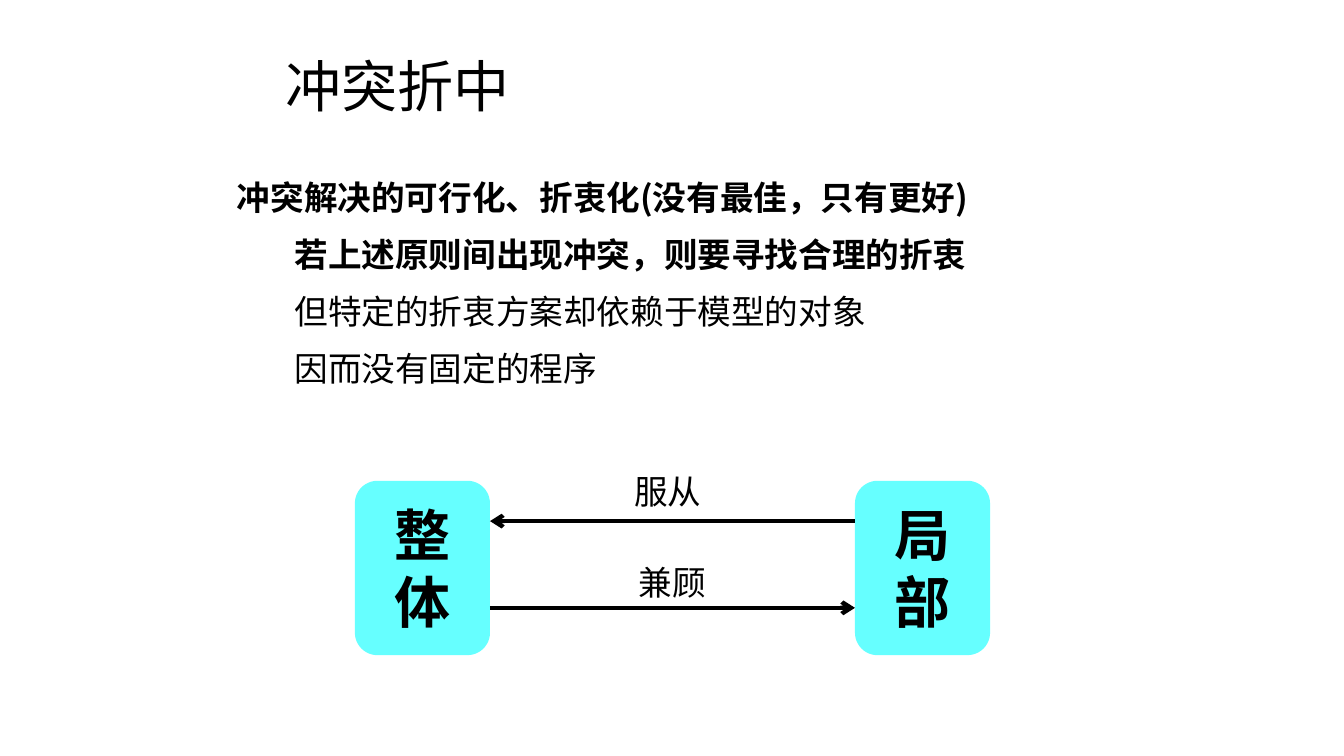
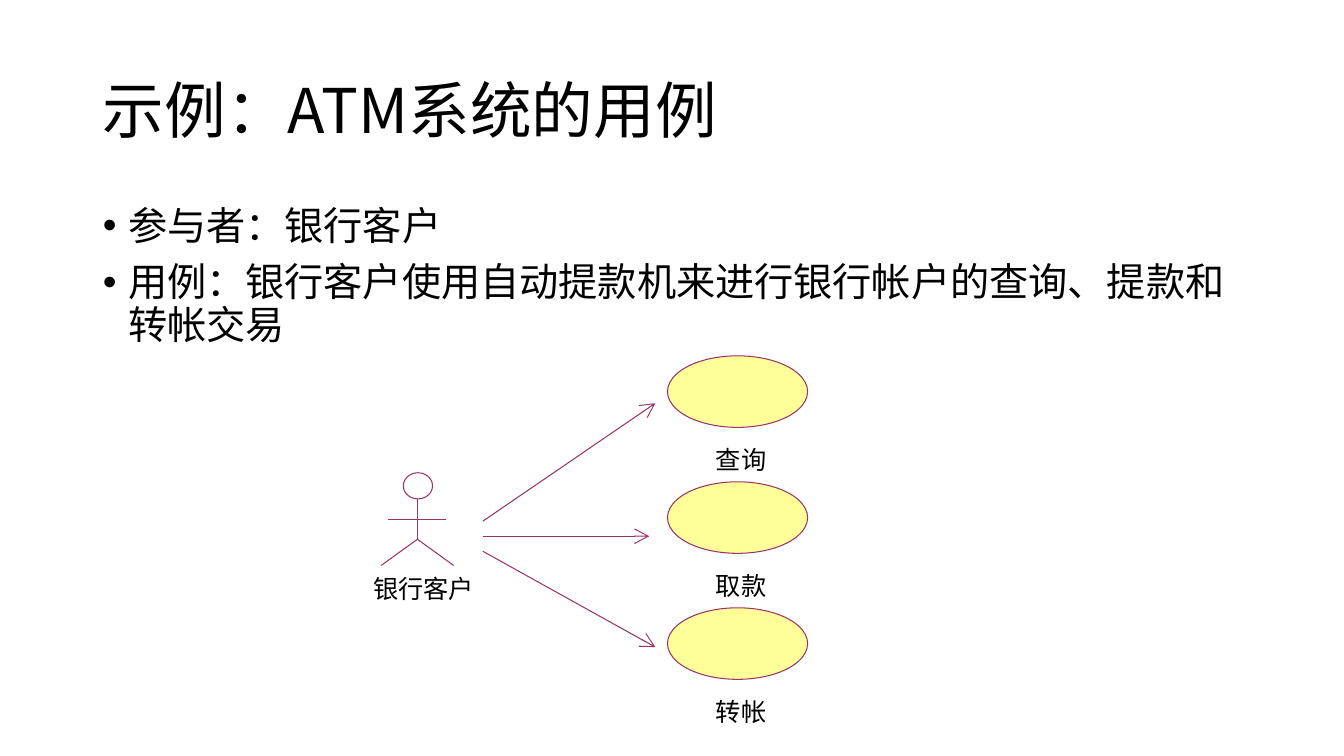
from dataclasses import dataclass

from lxml import etree
from pptx import Presentation
from pptx.dml import color
from pptx.enum import shapes, text
from pptx.oxml import ns
from pptx.util import Inches, Pt


@dataclass(frozen=True)
class Theme:
    cjk: str = "Noto Sans CJK SC"
    latin: str = "Calibri"
    ink: str = "000000"
    cyan: str = "66FFFF"
    plum: str = "993366"
    cream: str = "FFFF99"
    title_small: int = 40
    title_large: int = 44
    box_size: int = 40
    list_size: int = 28
    text_size: int = 24
    label_size: int = 18
    thick: float = 3
    thin: float = 0.75


THEME = Theme()
LEFT, CENTER, JUSTIFY = (
    text.PP_ALIGN.LEFT, text.PP_ALIGN.CENTER, text.PP_ALIGN.JUSTIFY)
TOP, MIDDLE = text.MSO_ANCHOR.TOP, text.MSO_ANCHOR.MIDDLE

COMPROMISE = {
    "title": "冲突折中",
    "points": [
        ("冲突解决的可行化、折衷化(没有最佳，只有更好)", 0, True),
        ("若上述原则间出现冲突，则要寻找合理的折衷", 0.57, True),
        ("但特定的折衷方案却依赖于模型的对象", 0.57, False),
        ("因而没有固定的程序", 0.57, False),
    ],
    "parts": ["整体", "局部"],
    "relations": [
        ("服从", (4.93, 4.62), 5.17, True),
        ("兼顾", (4.97, 5.53), 6.03, False),
    ],
}
USE_CASES = {
    "title": "示例：ATM系统的用例",
    "points": [
        "参与者：银行客户",
        "用例：银行客户使用自动提款机来进行银行帐户的查询、提款和转帐交易",
    ],
    "actor": "银行客户",
    "cases": ["查询", "取款", "转帐"],
    "arrows": [
        ((4.79, 5.17), (6.5, 4)),
        ((4.79, 5.32), (6.44, 5.32)),
        ((4.79, 5.47), (6.5, 6.42)),
    ],
}


def rgb(value):
    return color.RGBColor.from_string(value)


def apply(target, values):
    for name, value in values.items():
        setattr(target, name, value)


def write(para, words, size, bold=False, font=THEME.cjk, **layout):
    apply(para, layout)
    span = para.add_run()
    span.text = words
    apply(span.font, {"size": Pt(size), "bold": bold, "name": font})
    span.font.color.rgb = rgb(THEME.ink)
    east = etree.SubElement(span.font._element, ns.qn("a:ea"))
    east.set("typeface", THEME.cjk)


def indent(para, margin, hanging=0, bullet=None):
    props = para._p.get_or_add_pPr()
    props.set("marL", str(Inches(margin)))
    props.set("indent", str(Inches(hanging)))
    mark = etree.SubElement(props, ns.qn("a:buChar" if bullet else "a:buNone"))
    if bullet:
        mark.set("char", bullet)


def place(box, left, top, width, height):
    apply(box, {"left": Inches(left), "top": Inches(top),
                "width": Inches(width), "height": Inches(height)})


def prepare(frame, anchor=TOP):
    apply(frame, {"word_wrap": True, "vertical_anchor": anchor,
                  "auto_size": text.MSO_AUTO_SIZE.NONE})


def paragraphs(frame, items):
    for index, item in enumerate(items):
        yield index, frame.add_paragraph() if index else frame.paragraphs[0], item


def start_page(deck, title, title_at, title_size, body_at):
    page = deck.slides.add_slide(deck.slide_layouts[1])
    place(page.shapes.title, *title_at)
    frame = page.shapes.title.text_frame
    prepare(frame, MIDDLE)
    write(frame.paragraphs[0], title, title_size, alignment=LEFT, line_spacing=0.9)
    body = page.placeholders[1]
    place(body, *body_at)
    prepare(body.text_frame)
    return page, body.text_frame


def add_label(page, words, at, size, margin=None, **style):
    box = page.shapes.add_textbox(*map(Inches, at))
    prepare(box.text_frame)
    if margin is not None:
        sides = ("left", "top", "right", "bottom")
        apply(box.text_frame, {f"margin_{side}": Inches(margin) for side in sides})
    write(box.text_frame.paragraphs[0], words, size, **style)


def add_shape(page, kind, at, fill=None, line=None):
    shape = page.shapes.add_shape(kind, *map(Inches, at))
    shape.shadow.inherit = False
    if fill:
        shape.fill.solid()
        shape.fill.fore_color.rgb = rgb(fill)
    else:
        shape.fill.background()
    if line:
        shape.line.color.rgb = rgb(line)
        shape.line.width = Pt(THEME.thin)
    else:
        shape.line.fill.background()
    return shape


def add_line(page, start, end, tint, width, head=None):
    line = page.shapes.add_connector(
        shapes.MSO_CONNECTOR.STRAIGHT, *map(Inches, (*start, *end)))
    line.line.color.rgb = rgb(tint)
    line.line.width = Pt(width)
    props = line._element.spPr
    if head:
        tip = etree.SubElement(props.find(ns.qn("a:ln")), ns.qn("a:tailEnd"))
        for name, value in {"type": "arrow", "w": head, "len": head}.items():
            tip.set(name, value)
    etree.SubElement(props, ns.qn("a:effectLst"))


def build_compromise(deck):
    page, body = start_page(
        deck, COMPROMISE["title"], (2.73, 0.39, 7.75, 1), THEME.title_small,
        (2.25, 1.7, 9, 2.32))
    for index, para, (words, margin, bold) in paragraphs(body, COMPROMISE["points"]):
        indent(para, margin)
        write(para, words, THEME.text_size, bold, alignment=JUSTIFY,
              line_spacing=1.0, space_before=Pt(12 if index else 0))

    left, step, width = 3.52, 4.96, 1.34
    for index, words in enumerate(COMPROMISE["parts"]):
        box = add_shape(page, shapes.MSO_SHAPE.ROUNDED_RECTANGLE,
                        (left + index * step, 4.77, width, 1.73), THEME.cyan)
        prepare(box.text_frame, MIDDLE)
        write(box.text_frame.paragraphs[0], words, THEME.box_size, True,
              alignment=CENTER)

    for words, corner, y, backward in COMPROMISE["relations"]:
        ends = [(left + width, y), (left + step, y)]
        if backward:
            ends.reverse()
        add_line(page, *ends, THEME.ink, THEME.thick, "med")
        add_label(page, words, (*corner, 3.39, 0.5), THEME.text_size,
                  alignment=CENTER)


def build_use_cases(deck):
    page, body = start_page(
        deck, USE_CASES["title"], (0.92, 0.4, 11.5, 1.45), THEME.title_large,
        (0.92, 2, 11.5, 4.76))
    for index, para, words in paragraphs(body, USE_CASES["points"]):
        indent(para, 0.25, -0.25, "•")
        write(para, words, THEME.list_size, alignment=LEFT, line_spacing=0.9,
              space_before=Pt(10 if index else 0))

    label = {"size": THEME.label_size, "margin": 0, "font": THEME.latin,
             "line_spacing": 1.07}
    neck, hip = (4.14, 4.95), (4.14, 5.35)
    limbs = [((3.85, 5.15), (4.42, 5.15)), (neck, hip),
             (hip, (3.78, 5.61)), (hip, (4.5, 5.61))]
    add_shape(page, shapes.MSO_SHAPE.OVAL, (4, 4.69, 0.29, 0.26), line=THEME.plum)
    for start, end in limbs:
        add_line(page, start, end, THEME.plum, THEME.thin)
    add_label(page, USE_CASES["actor"], (3.7, 5.67, 1.17, 0.33), **label)

    for index, words in enumerate(USE_CASES["cases"]):
        top = 3.53 + index * 1.25
        add_shape(page, shapes.MSO_SHAPE.OVAL, (6.62, top, 1.39, 0.71),
                  THEME.cream, THEME.plum)
        add_label(page, words, (7.1, top + 0.86, 0.59, 0.33), **label)
    for start, end in USE_CASES["arrows"]:
        add_line(page, start, end, THEME.plum, THEME.thin, "lg")


def main():
    deck = Presentation()
    apply(deck, {"slide_width": Inches(13.33), "slide_height": Inches(7.5)})
    build_compromise(deck)
    build_use_cases(deck)
    deck.save("out.pptx")


if __name__ == "__main__":
    main()
